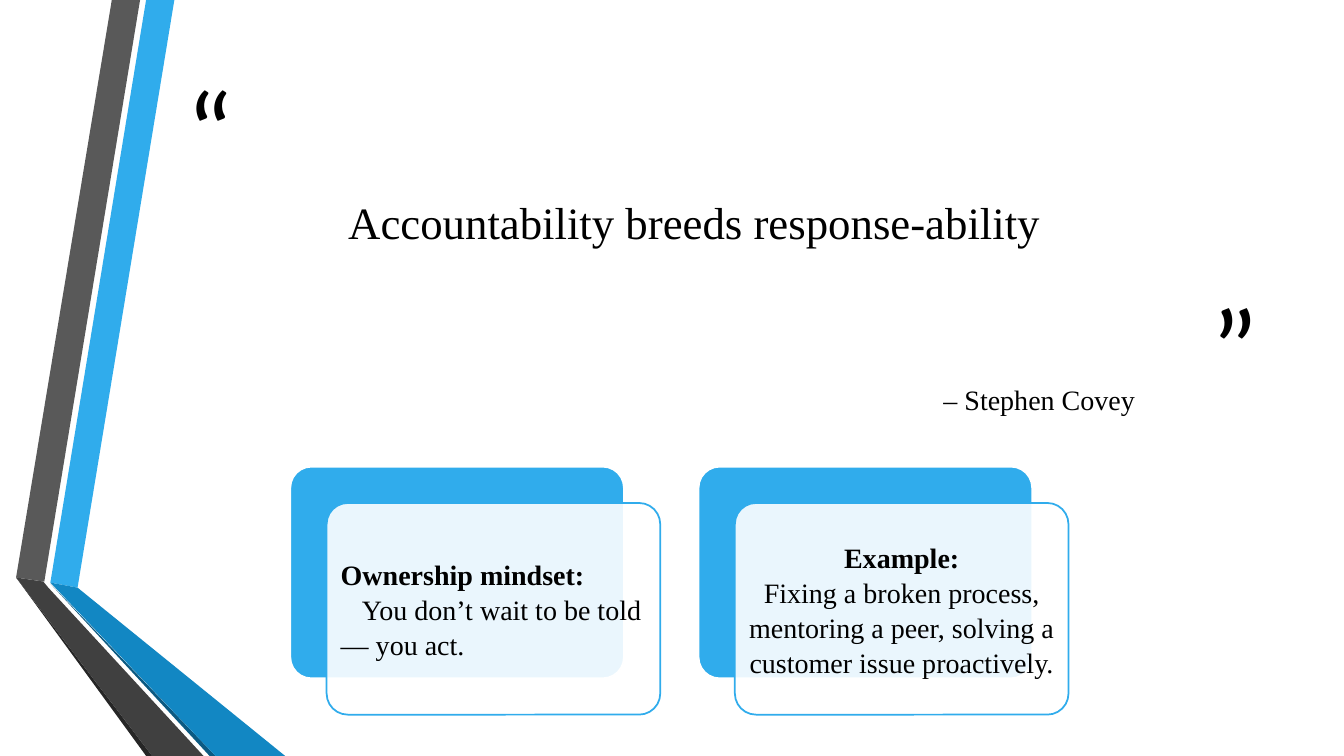
import pptx
import pptx.util
import pptx.dml.color
import pptx.enum.shapes
import pptx.enum.text
import pptx.oxml.ns
import lxml.etree

CELL = 91440
COLUMNS, ROWS = 133.33, 75
COLORS = {
    "sky": "30ACEC", "blue": "1287C3", "navy": "0C5A82",
    "gray": "595959", "charcoal": "404040", "coal": "262626",
    "white": "FFFFFF", "black": "000000",
}
ALIGN = pptx.enum.text.PP_ALIGN
SERIF = "Times New Roman"

RIBBONS = [
    ("sky", [(5, 57.8), (7.7, 58.3), (17.3, 0), (14.5, 0)]),
    ("gray", [(13.9, 0), (11.1, 0), (1.6, 57.3), (4.4, 57.7)]),
    ("coal", [(1.6, 57.3), (14.5, ROWS), (15.1, ROWS)]),
    ("navy", [(5, 57.9), (20.8, ROWS), (21.4, ROWS)]),
    ("blue", [(5, 57.8), (21.4, ROWS), (28.3, ROWS), (7.7, 58.3)]),
    ("charcoal", [(20.2, ROWS), (4.8, 58.3), (4.3, 57.7), (1.6, 57.3), (15.1, ROWS)]),
]
QUOTES = [
    ("“", (17.5, 9.4, 6.7, 6.4), ALIGN.LEFT, 80, "Calibri"),
    ("”", (119.1, 30.8, 6.7, 6.4), ALIGN.RIGHT, 80, "Calibri"),
    ("Accountability breeds response-ability", (26.2, 10.1, 85.4, 23.8), ALIGN.CENTER, 32, SERIF),
    ("– Stephen Covey", (91.4, 37.5, 23.4, 4.2), ALIGN.CENTER, 20, SERIF),
]
CARDS = [
    ("Ownership mindset:", "You don’t wait to be told — you act.", ALIGN.LEFT, 2.1),
    ("Example:", "Fixing a broken process, mentoring a peer, solving a customer issue proactively.",
     ALIGN.CENTER, 0),
]
CARD_LEFT, CARD_TOP, CARD_STEP = 28.8, 46.3, 40.5
CARD_WIDTH, CARD_HEIGHT = 33.1, 21
FRONT_SHIFT = 3.6
TEXT_MARGIN = 0.6


def grid(*cells):
    return [pptx.util.Emu(round(cell * CELL)) for cell in cells]


def color(name):
    return pptx.dml.color.RGBColor.from_string(COLORS[name])


def set_values(target, values):
    for name, value in values.items():
        setattr(target, name, value)


def paint(shape, fill):
    shape.shadow.inherit = False
    shape.fill.solid()
    shape.fill.fore_color.rgb = color(fill)


def add_ribbon(page, fill, points):
    start, *others = [grid(*point) for point in points]
    builder = page.shapes.build_freeform(*start, scale=1.0)
    builder.add_line_segments(others, close=True)
    ribbon = builder.convert_to_shape()
    paint(ribbon, fill)
    ribbon.line.fill.background()


def add_panel(page, area, fill, line, opacity=100):
    panel = page.shapes.add_shape(
        pptx.enum.shapes.MSO_SHAPE.ROUNDED_RECTANGLE, *grid(*area))
    panel.adjustments[0] = 0.1
    paint(panel, fill)
    panel.line.color.rgb = color(line)
    panel.line.width = pptx.util.Pt(1.25)
    if opacity < 100:
        tone = panel.fill._xPr.find(".//" + pptx.oxml.ns.qn("a:srgbClr"))
        alpha = lxml.etree.SubElement(tone, pptx.oxml.ns.qn("a:alpha"))
        alpha.set("val", str(opacity * 1000))


def add_box(page, area, **margins):
    frame = page.shapes.add_textbox(*grid(*area)).text_frame
    set_values(frame, {
        "word_wrap": True,
        "vertical_anchor": pptx.enum.text.MSO_ANCHOR.MIDDLE,
        **margins,
    })
    return frame


def write(para, text, align, size, font, bold=False):
    para.alignment = align
    span = para.add_run()
    span.text = text
    set_values(span.font, {"name": font, "size": pptx.util.Pt(size), "bold": bold})
    span.font.color.rgb = color("black")


def add_card(page, left, heading, detail, align, indent):
    add_panel(page, (left, CARD_TOP, CARD_WIDTH, CARD_HEIGHT), "sky", "white")
    front_left, front_top = left + FRONT_SHIFT, CARD_TOP + FRONT_SHIFT
    add_panel(page, (front_left, front_top, CARD_WIDTH, CARD_HEIGHT), "white", "sky", 90)
    sides = ("margin_left", "margin_top", "margin_right", "margin_bottom")
    frame = add_box(
        page,
        (front_left + TEXT_MARGIN, front_top + TEXT_MARGIN,
         CARD_WIDTH - 2 * TEXT_MARGIN, CARD_HEIGHT - 2 * TEXT_MARGIN),
        **dict.fromkeys(sides, grid(0.8)[0]))
    write(frame.paragraphs[0], heading, align, 20, SERIF, bold=True)
    write(frame.add_paragraph(), detail, align, 20, SERIF)
    for para in frame.paragraphs:
        para.line_spacing = 1.04
    if indent:
        para._p.get_or_add_pPr().set("indent", str(grid(indent)[0]))


def main():
    deck = pptx.Presentation()
    deck.slide_width, deck.slide_height = grid(COLUMNS, ROWS)
    page = deck.slides.add_slide(deck.slide_layouts[6])
    for fill, points in RIBBONS:
        add_ribbon(page, fill, points)
    for text, area, align, size, font in QUOTES:
        write(add_box(page, area).paragraphs[0], text, align, size, font)
    for index, card in enumerate(CARDS):
        add_card(page, CARD_LEFT + index * CARD_STEP, *card)
    deck.save("out.pptx")


if __name__ == "__main__":
    main()
